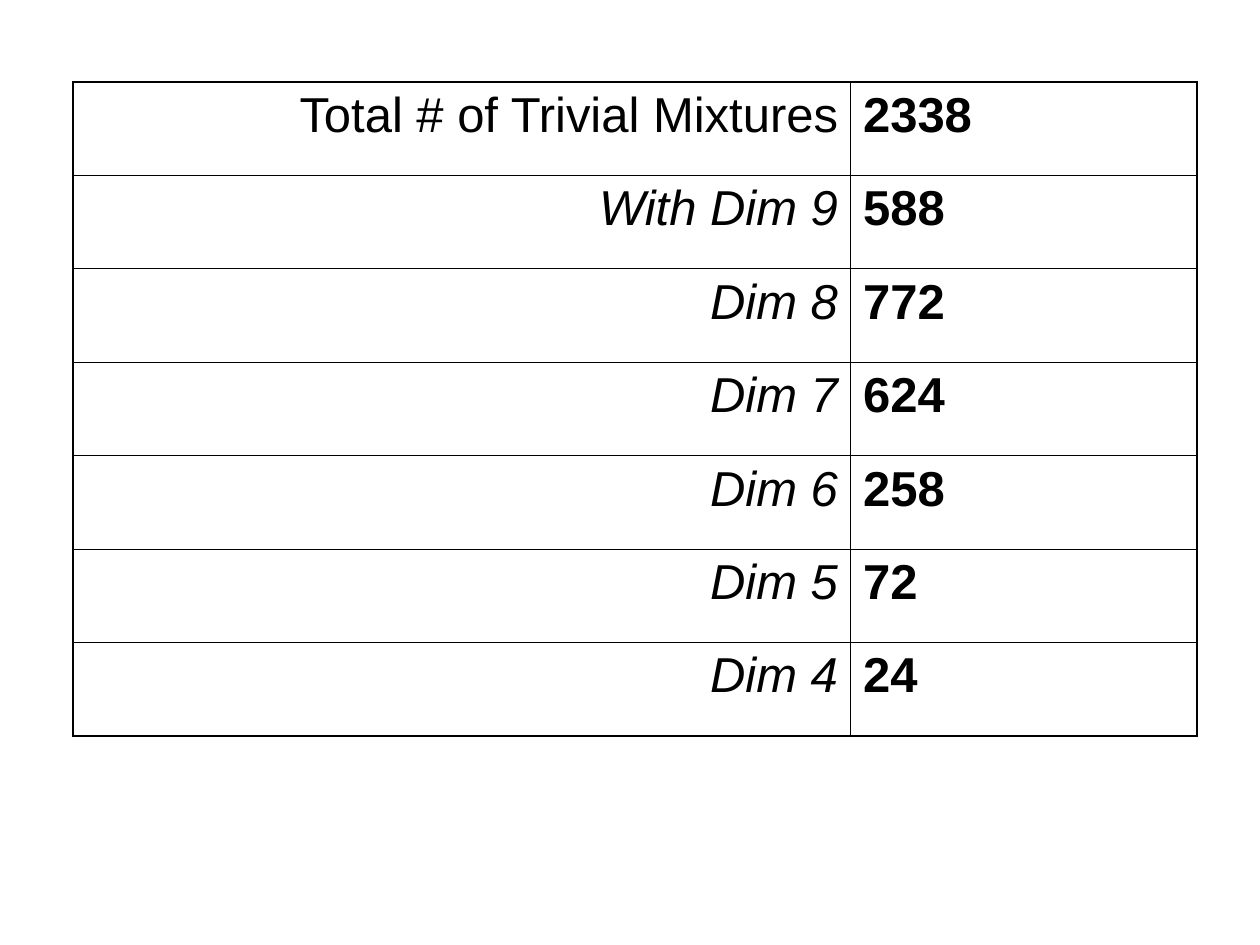
"""Build a slide with a table of trivial mixture counts by dimension."""
from lxml.etree import SubElement
from pptx import Presentation
from pptx.dml.color import RGBColor
from pptx.enum.text import PP_ALIGN as Align
from pptx.oxml.ns import qn
from pptx.util import Inches, Pt

BLACK = RGBColor(0, 0, 0)
THIN, THICK = Pt(0.45), Pt(1.08)
COUNTS = [
    ("Total # of Trivial Mixtures", "2338"),
    ("With Dim 9", "588"),
    ("Dim 8", "772"),
    ("Dim 7", "624"),
    ("Dim 6", "258"),
    ("Dim 5", "72"),
    ("Dim 4", "24"),
]


def write_text(cell, text, align=Align.LEFT, bold=False, italic=False):
    paragraph = cell.text_frame.paragraphs[0]
    paragraph.alignment = align
    run = paragraph.add_run()
    run.text = text
    run.font.name = "Arial"
    run.font.size = Pt(28)
    run.font.bold = bold
    run.font.italic = italic
    run.font.color.rgb = BLACK


def draw_borders(cell, **widths):
    properties = cell._tc.get_or_add_tcPr()
    for side, width in widths.items():
        line = SubElement(properties, qn(f"a:ln{side}"), w=str(width))
        fill = SubElement(line, qn("a:solidFill"))
        SubElement(fill, qn("a:srgbClr"), val=str(BLACK))


presentation = Presentation()
presentation.slide_width = Inches(10)
presentation.slide_height = Inches(7.5)
slide = presentation.slides.add_slide(presentation.slide_layouts[6])

table = slide.shapes.add_table(
    len(COUNTS), 2, Inches(0.58), Inches(0.65), Inches(8.92), Inches(5.19)
).table
table.first_row = False
table.horz_banding = False
table.columns[0].width = Inches(6.17)
table.columns[1].width = Inches(2.75)

last = len(COUNTS) - 1
for index, (label, count) in enumerate(COUNTS):
    label_cell, count_cell = table.rows[index].cells
    write_text(label_cell, label, align=Align.RIGHT, italic=index > 0)
    write_text(count_cell, count, bold=True)
    top = THICK if index == 0 else THIN
    bottom = THICK if index == last else THIN
    draw_borders(label_cell, L=THICK, R=THIN, T=top, B=bottom)
    draw_borders(count_cell, L=THIN, R=THICK, T=top, B=bottom)
    for cell in (label_cell, count_cell):
        cell.fill.background()

presentation.save("out.pptx")
